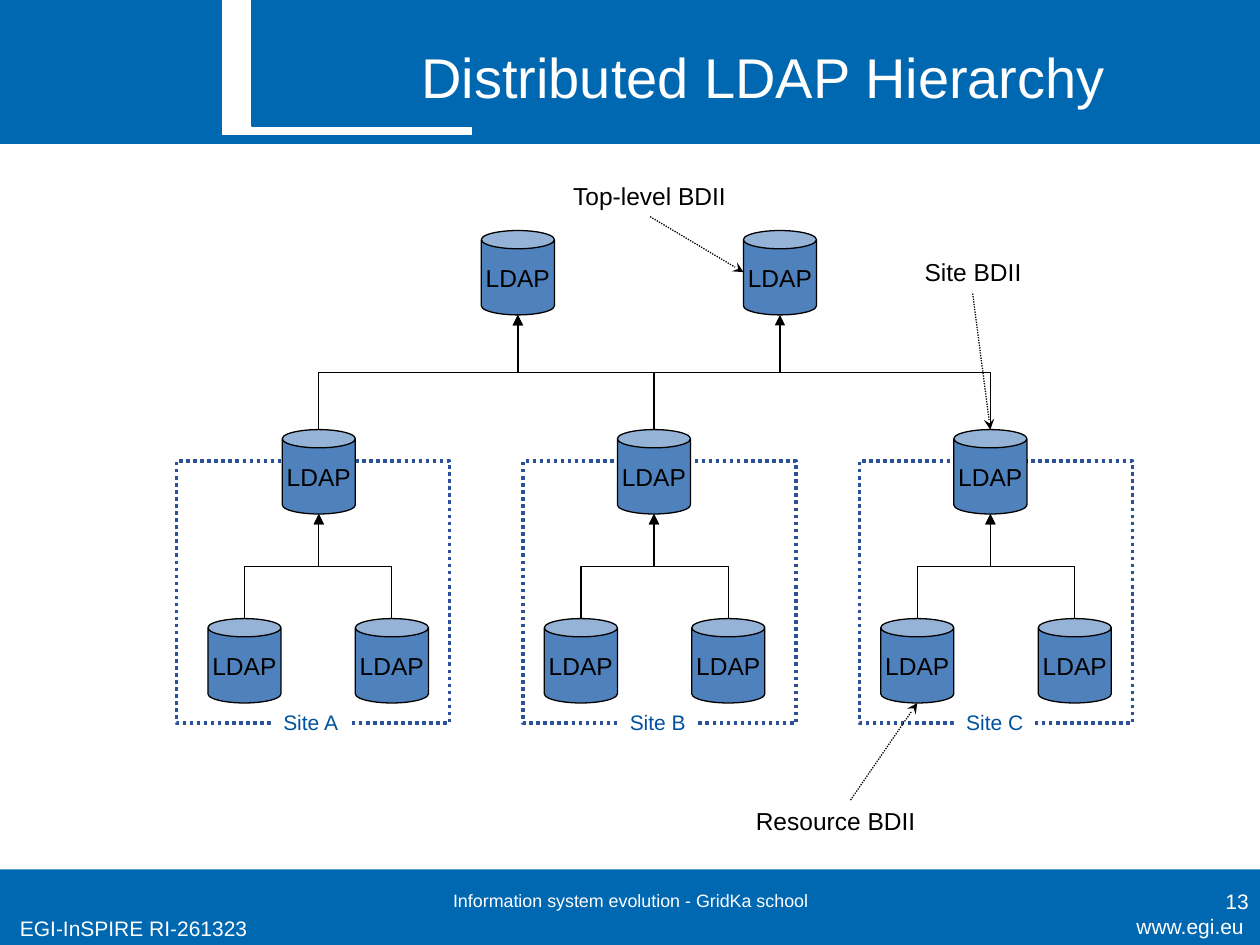
"""Build the distributed LDAP hierarchy slide."""
from lxml import etree
from pptx import Presentation
from pptx.dml.color import RGBColor
from pptx.enum import dml, shapes as kinds, text
from pptx.oxml.ns import qn
from pptx.util import Inches, Pt

COLORS = {"band": "0067B1", "white": "FFFFFF", "black": "000000",
          "can": "4F81BD", "frame": "2B519A", "site": "00529E"}
CAN_W, CAN_H = 0.58, 0.67
TOP_Y, SITE_Y, RESOURCE_Y = 1.83, 3.41, 4.91
FRAME_Y, FRAME_W, FRAME_H = 3.66, 2.17, 2.08
LEFT, CENTER, RIGHT = text.PP_ALIGN.LEFT, text.PP_ALIGN.CENTER, text.PP_ALIGN.RIGHT
TOP, MIDDLE = text.MSO_ANCHOR.TOP, text.MSO_ANCHOR.MIDDLE

TOP_LEVEL = [4.11, 6.19]
SITES = [
    {"name": "Site A", "frame": 1.4, "label": 2.15, "center": 2.53, "resources": [1.94, 3.11]},
    {"name": "Site B", "frame": 4.15, "label": 4.9, "center": 5.19, "resources": [4.61, 5.78]},
    {"name": "Site C", "frame": 6.82, "label": 7.57, "center": 7.86, "resources": [7.28, 8.53]},
]
UPLINKS = [(SITES[0], TOP_LEVEL[0]), (SITES[2], TOP_LEVEL[0]), (SITES[1], TOP_LEVEL[1])]
CALLOUTS = [
    ("Top-level BDII", (4.45, 1.39, 1.42, 0.34), (5.16, 1.72), (5.9, 2.16)),
    ("Site BDII", (7.24, 1.99, 0.97, 0.34), (7.72, 2.33), (7.86, SITE_Y)),
    ("Resource BDII", (5.9, 6.35, 1.7, 0.34), (6.75, 6.35), (7.28, 5.58)),
]
BAND_TEXTS = [
    ("www.egi.eu", (8.39, 7.2, 1.58, 0.3), 12, RIGHT, TOP),
    ("EGI-InSPIRE RI-261323", (0.06, 7.22, 2.5, 0.3), 12, LEFT, TOP),
    ("Information system evolution - GridKa school", (3.43, 6.95, 3.15, 0.4), 10.2, CENTER, MIDDLE),
    ("13", (7.68, 6.95, 2.33, 0.4), 12, RIGHT, MIDDLE),
    ("Distributed LDAP Hierarchy", (2.32, 0.13, 7.48, 0.95), 32, CENTER, MIDDLE),
]
CURVE = [(1.77, 1.07), (2.56, 1.07), (1.77, 0), (2.56, 0)]
CURVE_STEPS = 40

prs = Presentation()
prs.slide_width, prs.slide_height = Inches(10), Inches(7.5)
slide = prs.slides.add_slide(prs.slide_layouts[6])


def rgb(name):
    return RGBColor.from_string(COLORS[name])


def paint(shape, fill=None, line=None, width=0.75):
    shape.shadow.inherit = False
    if fill:
        shape.fill.solid()
        shape.fill.fore_color.rgb = rgb(fill)
    else:
        shape.fill.background()
    if line:
        shape.line.color.rgb = rgb(line)
        shape.line.width = Pt(width)
    else:
        shape.line.fill.background()
    return shape


def add_block(kind, box, fill=None, line=None, width=0.75):
    block = slide.shapes.add_shape(kind, *map(Inches, box))
    return paint(block, fill, line, width)


def write(shape, words, size, color, align=LEFT, anchor=TOP, wrap=True):
    frame = shape.text_frame
    frame.word_wrap = wrap
    frame.vertical_anchor = anchor
    paragraph = frame.paragraphs[0]
    paragraph.text = words
    paragraph.alignment = align
    paragraph.font.name = "Arial"
    paragraph.font.size = Pt(size)
    paragraph.font.color.rgb = rgb(color)


def add_text(words, box, size, color, align=LEFT, anchor=TOP, wrap=True):
    write(slide.shapes.add_textbox(*map(Inches, box)), words, size, color, align, anchor, wrap)


def add_can(center, top):
    can = add_block(kinds.MSO_SHAPE.CAN, (center - CAN_W / 2, top, CAN_W, CAN_H), "can", "black")
    write(can, "LDAP", 14, "black", CENTER, MIDDLE, wrap=False)


def add_arrow(kind, start, end, head):
    arrow = slide.shapes.add_connector(kind, *map(Inches, start + end))
    arrow.line.color.rgb = rgb("black")
    arrow.line.width = Pt(0.75)
    if head == "stealth":
        arrow.line.dash_style = dml.MSO_LINE.ROUND_DOT
    etree.SubElement(arrow.line._get_or_add_ln(), qn("a:tailEnd"), type=head)
    etree.SubElement(arrow._element.spPr, qn("a:effectLst"))
    return arrow


def add_uplink(x1, y1, x2, y2):
    """Turn an elbow on its side so that it leaves and arrives vertically."""
    side = 1 if x2 > x1 else -1
    cx, cy = (x1 + x2) / 2, (y1 + y2) / 2
    half_w, half_h = (y1 - y2) / 2, abs(x2 - x1) / 2
    uplink = add_arrow(kinds.MSO_CONNECTOR.ELBOW, (cx + side * half_w, cy + half_h),
                       (cx - side * half_w, cy - half_h), "triangle")
    degrees = 90 if side > 0 else 270
    uplink._element.spPr.find(qn("a:xfrm")).set("rot", str(degrees * 60000))


def curve_point(t):
    weights = ((1 - t) ** 3, 3 * t * (1 - t) ** 2, 3 * t * t * (1 - t), t ** 3)
    return tuple(sum(w * p[axis] for w, p in zip(weights, CURVE)) for axis in (0, 1))


RECT = kinds.MSO_SHAPE.RECTANGLE
add_block(RECT, (0, 6.9, 10, 0.6), "band")
add_block(RECT, (0, 0, 10, 1.14), "band", "band")
add_block(RECT, (1.77, 0, 1.97, 1.07), "white", "white")
swoosh = slide.shapes.build_freeform(3.74, 0, scale=Inches(1))
swoosh.add_line_segments(
    [(3.74, 1.07)] + [curve_point(i / CURVE_STEPS) for i in range(CURVE_STEPS + 1)])
paint(swoosh.convert_to_shape(), "band", "band")
for words, box, size, align, anchor in BAND_TEXTS:
    add_text(words, box, size, "white", align, anchor)

for site in SITES:
    border = add_block(RECT, (site["frame"], FRAME_Y, FRAME_W, FRAME_H), None, "frame", 2)
    border.line.dash_style = dml.MSO_LINE.ROUND_DOT
for center in TOP_LEVEL:
    add_can(center, TOP_Y)
for site in SITES:
    add_can(site["center"], SITE_Y)
    for center in site["resources"]:
        add_can(center, RESOURCE_Y)
        add_uplink(center, RESOURCE_Y, site["center"], SITE_Y + CAN_H)
    label = add_block(RECT, (site["label"], 5.58, 0.64, 0.3), "white")
    write(label, site["name"], 12, "site", wrap=False)
for site, target in UPLINKS:
    add_uplink(site["center"], SITE_Y, target, TOP_Y + CAN_H)
for words, box, start, end in CALLOUTS:
    add_text(words, box, 14, "black", wrap=words != "Site BDII")
    add_arrow(kinds.MSO_CONNECTOR.STRAIGHT, start, end, "stealth")

prs.save("out.pptx")
